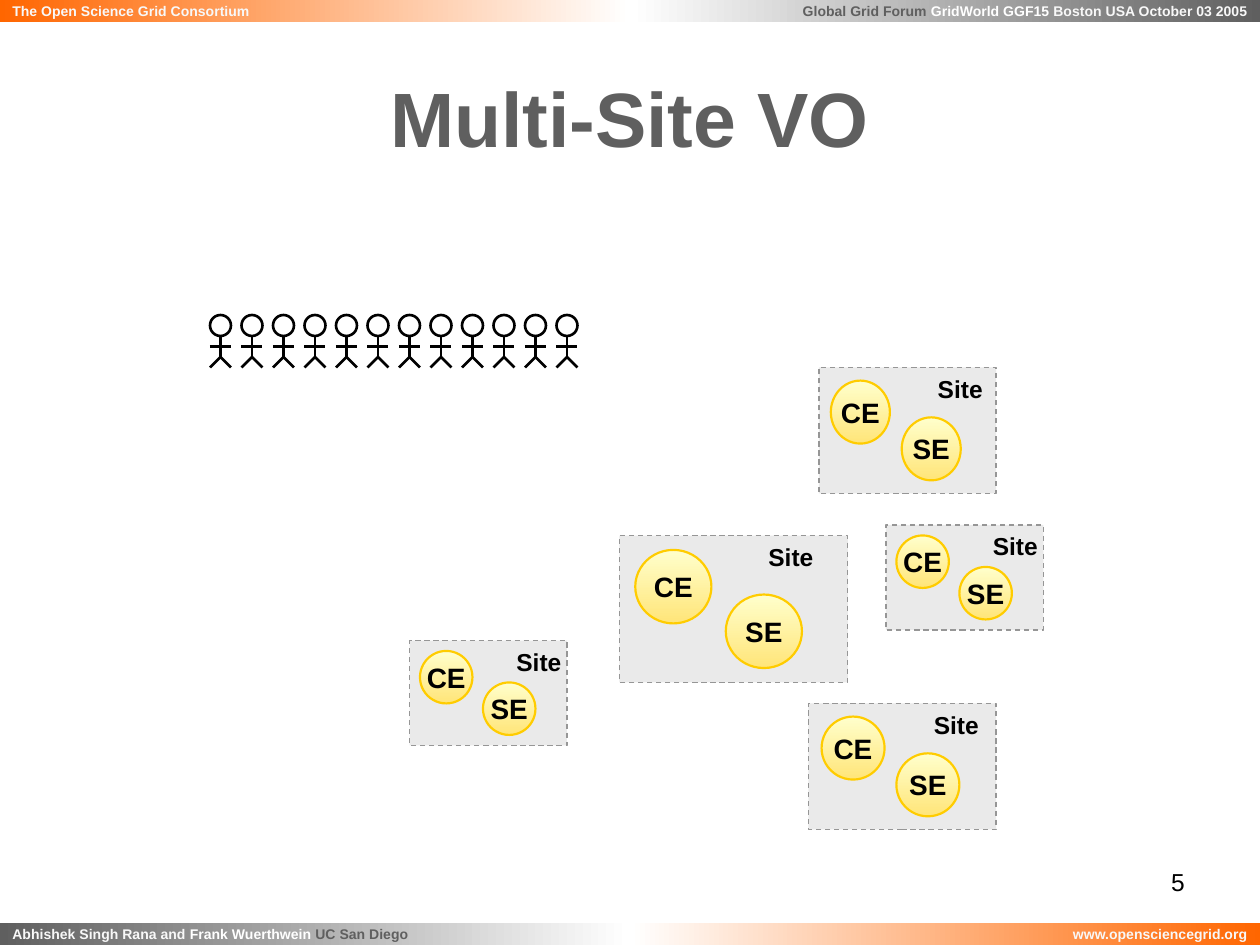
import pptx
import pptx.dml.color
import pptx.enum.dml
import pptx.enum.shapes
import pptx.enum.text
import pptx.oxml.ns
import pptx.util
import lxml.etree

SCALE = 9525  # EMU in one px, 96 px to the inch
COLORS = {
    "white": "FFFFFF", "pale": "F8F8F8", "gray": "5F5F5F", "orange": "FF6600",
    "black": "000000", "site": "EAEAEA", "border": "969696",
    "cream": "FFFFCC", "yellow": "FFE579", "gold": "FFCC00",
}
SHAPES = pptx.enum.shapes.MSO_SHAPE
ALIGN = pptx.enum.text.PP_ALIGN
ANCHOR = pptx.enum.text.MSO_ANCHOR


def px(*lengths):
    return [pptx.util.Emu(round(length) * SCALE) for length in lengths]


def color(name):
    return pptx.dml.color.RGBColor.from_string(COLORS[name])


def write(shape, spans, size, align=ALIGN.LEFT, anchor=ANCHOR.MIDDLE, bold=True, wrap=False):
    """Fill a shape with one paragraph of (text, color) spans."""
    frame = shape.text_frame
    frame.word_wrap = wrap
    frame.vertical_anchor = anchor
    para = frame.paragraphs[0]
    para.alignment = align
    for text, ink in spans:
        span = para.add_run()
        span.text = text
        span.font.name = "Arial"
        span.font.size = pptx.util.Pt(size)
        span.font.bold = bold
        span.font.color.rgb = color(ink)


def add_shape(parent, kind, box, line=None, width=0):
    shape = parent.shapes.add_shape(kind, *px(*box))
    shape.shadow.inherit = False
    if line:
        shape.line.color.rgb = color(line)
        shape.line.width = pptx.util.Pt(width)
    else:
        shape.line.fill.background()
    return shape


def fill_gradient(shape, first, last, angle):
    shape.fill.gradient()
    shape.fill.gradient_angle = angle
    for stop, name, position in zip(shape.fill.gradient_stops, (first, last), (0, 1)):
        stop.color.rgb = color(name)
        stop.position = position


def add_bar(page, box, first, last, spans, align):
    bar = add_shape(page, SHAPES.RECTANGLE, box)
    fill_gradient(bar, first, last, 180)
    write(bar, spans, 8, align)


def add_text(parent, box, text, size, ink="black", **style):
    write(parent.shapes.add_textbox(*px(*box)), [(text, ink)], size, **style)


def add_site(page, box):
    """A dashed site with its two elements, in proportion to the box."""
    left, top, width, height = box
    group = page.shapes.add_group_shape()
    frame = add_shape(group, SHAPES.RECTANGLE, box, "border", 0.75)
    frame.fill.solid()
    frame.fill.fore_color.rgb = color("site")
    frame.line.dash_style = pptx.enum.dml.MSO_LINE.DASH
    for text, across, down in (("CE", 1 / 15, 0.1), ("SE", 7 / 15, 0.4)):
        element = add_shape(
            group, SHAPES.OVAL,
            (left + across * width, top + down * height, width / 3, height / 2),
            "gold", 1.25)
        fill_gradient(element, "cream", "yellow", 270)
        write(element, [(text, "black")], 16, ALIGN.CENTER)
    add_text(group, (left + 0.6 * width, top, 54, 33), "Site", 14, anchor=ANCHOR.TOP)


def add_person(page, left, top):
    """A stick figure, 16 px wide and 40 px high."""
    group = page.shapes.add_group_shape()
    head = add_shape(group, SHAPES.OVAL, (left, top, 16, 16), "black", 1.5)
    head.fill.background()
    # Body, two legs, arms
    limbs = ((8, 16, 8, 32), (8, 32, 0, 40), (8, 32, 16, 40), (0, 24, 16, 24))
    for x1, y1, x2, y2 in limbs:
        limb = group.shapes.add_connector(
            pptx.enum.shapes.MSO_CONNECTOR.STRAIGHT,
            *px(left + x1, top + y1, left + x2, top + y2))
        limb.line.color.rgb = color("black")
        limb.line.width = pptx.util.Pt(1.5)
        lxml.etree.SubElement(limb._element.spPr, pptx.oxml.ns.qn("a:effectLst"))


def main():
    deck = pptx.Presentation()
    deck.slide_width, deck.slide_height = px(960, 720)
    page = deck.slides.add_slide(deck.slide_layouts[6])

    # Header and footer bars
    add_bar(page, (480, 0, 480, 17), "gray", "white", [
        ("Global Grid Forum ", "gray"), ("GridWorld GGF15 ", "white"),
        ("Boston USA October 03 2005", "pale")], ALIGN.RIGHT)
    add_bar(page, (0, 703, 480, 17), "white", "gray", [
        ("Abhishek Singh Rana and ", "pale"), ("Frank Wuerthwein ", "white"),
        ("UC San Diego", "gray")], ALIGN.LEFT)
    add_bar(page, (480, 703, 480, 17), "orange", "white",
            [("www.opensciencegrid.org", "pale")], ALIGN.RIGHT)
    add_bar(page, (0, 0, 480, 17), "white", "orange",
            [("The Open Science Grid Consortium", "pale")], ALIGN.LEFT)

    # Title
    add_text(page, (48, 29, 864, 120), "Multi-Site VO", 44, "gray",
             align=ALIGN.CENTER, wrap=True)

    # Sites
    for box in ((624, 280, 135, 96), (472, 408, 174, 112), (675, 400, 120, 80),
                (616, 536, 143, 96), (312, 488, 120, 80)):
        add_site(page, box)

    # Row of users
    for number in range(12):
        add_person(page, 160 + 24 * number, 240)

    # Page number
    add_text(page, (688, 656, 224, 50), "5", 14, align=ALIGN.RIGHT,
             anchor=ANCHOR.TOP, bold=False, wrap=True)
    deck.save("out.pptx")


if __name__ == "__main__":
    main()
